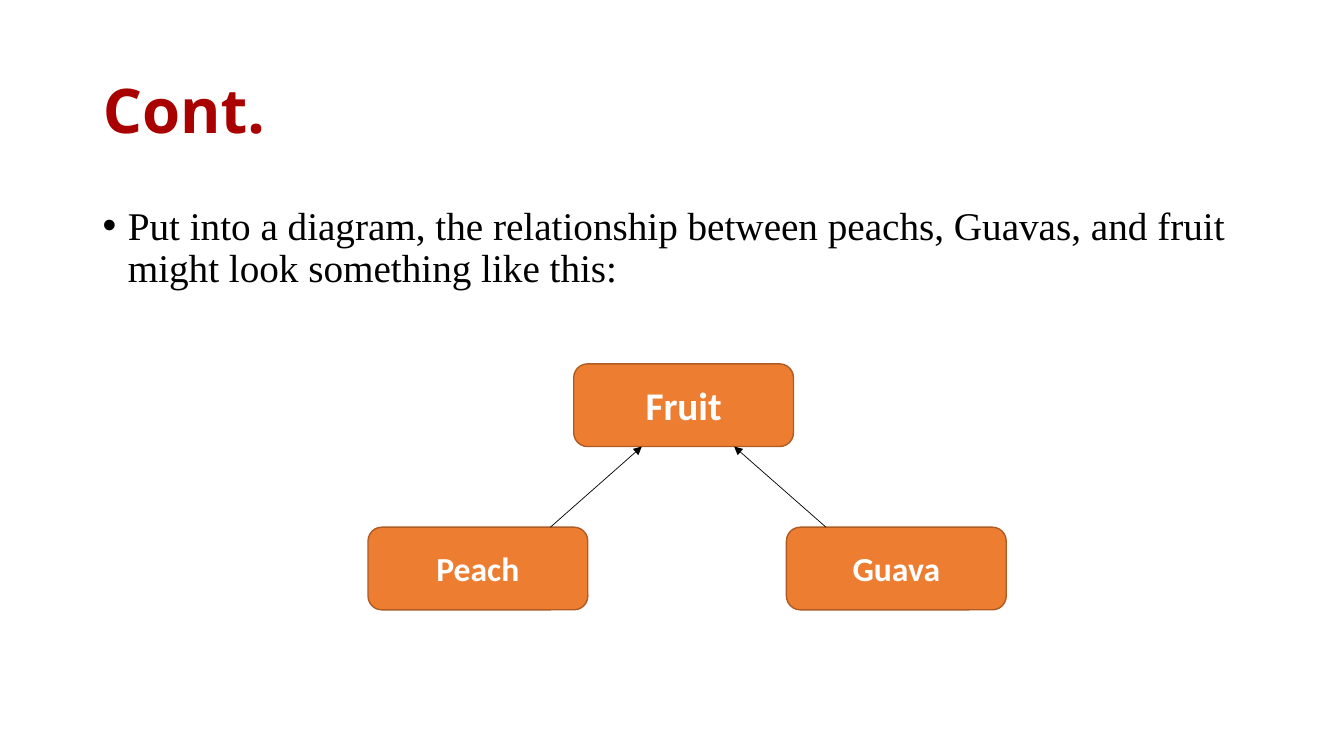
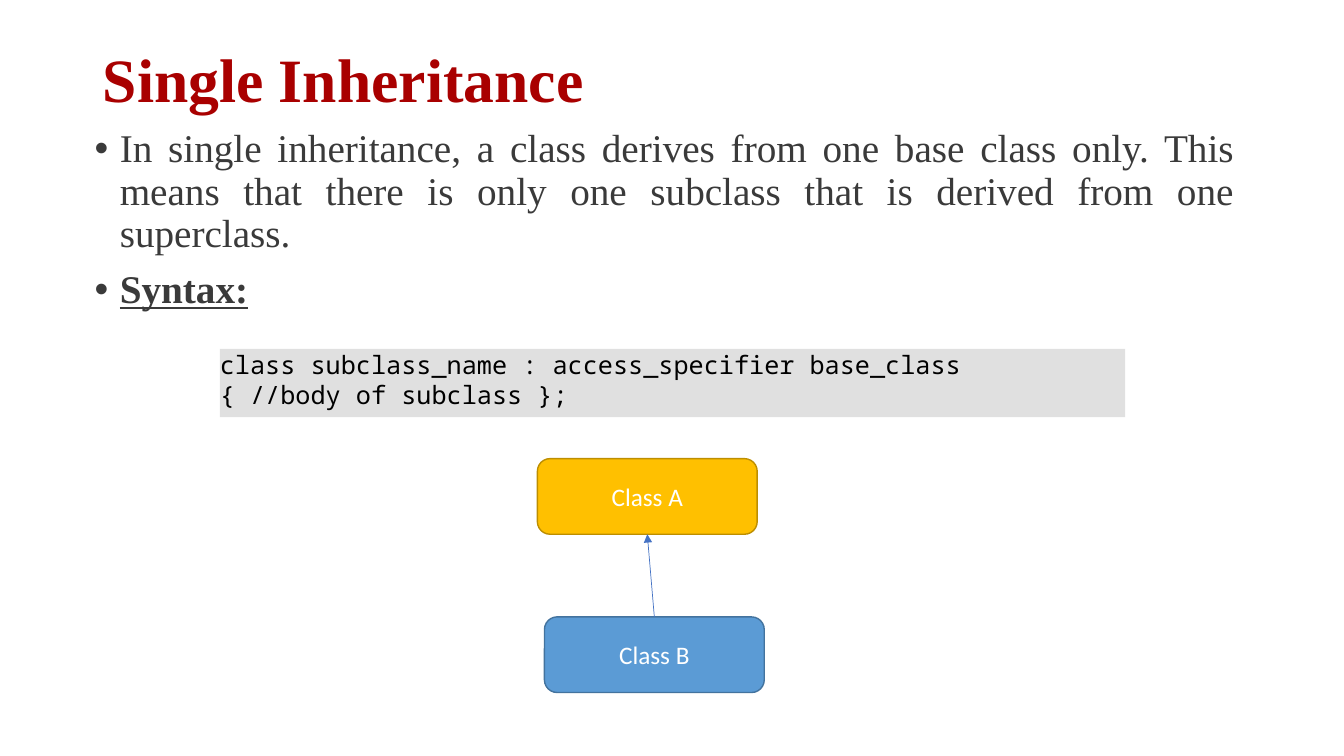
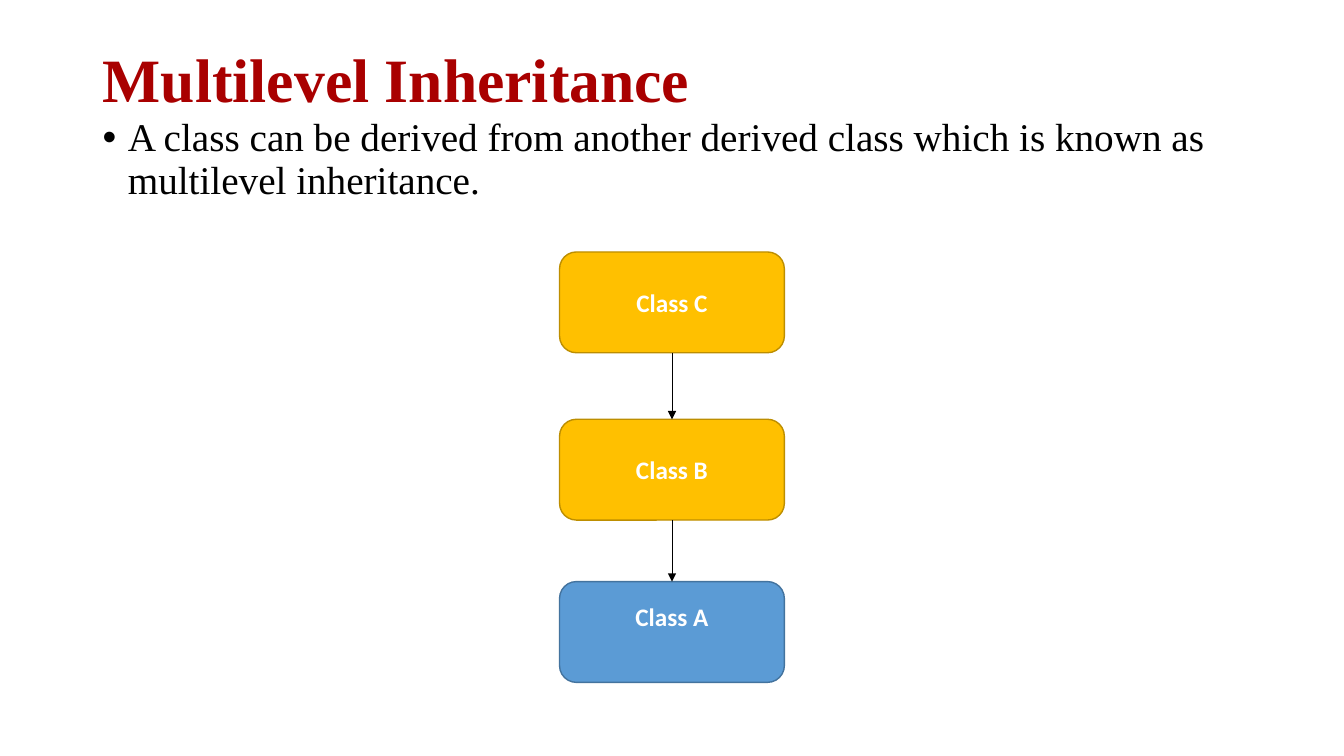
from lxml.etree import SubElement
from pptx import Presentation
from pptx.dml.color import RGBColor
from pptx.enum.shapes import MSO_CONNECTOR, MSO_SHAPE
from pptx.enum.text import MSO_ANCHOR, MSO_AUTO_SIZE, PP_ALIGN
from pptx.oxml.ns import qn
from pptx.util import Inches, Pt

SERIF, SANS, MONO, LABEL = "Times New Roman", "Noto Sans", "Noto Sans Mono", "Calibri"
RED, BLACK, WHITE, DARK, GREY = "A90000", "000000", "FFFFFF", "3A3A3A", "E0E0E0"
LINK_BLUE = "4472C4"
# Fill and outline of the class boxes
ORANGE = ("ED7D31", "AF5C24")
GOLD = ("FFC000", "BD8E00")
BLUE = ("5B9BD5", "43739E")


def rgb(value):
    return RGBColor.from_string(value)


def add_run(p, text, size, font, color, bold=False, underline=False):
    r = p.add_run()
    r.text = text
    r.font.size = Pt(size)
    r.font.name = font
    r.font.color.rgb = rgb(color)
    r.font.bold = bold
    r.font.underline = underline


def add_slide(prs, title, font=SERIF, raised=True):
    """Title slide part; a raised title sits at the top of its box."""
    s = prs.slides.add_slide(prs.slide_layouts[5])
    sp = s.shapes.title
    sp.left, sp.top = Inches(0.92), Inches(0.4)
    sp.width, sp.height = Inches(11.5), Inches(1.45)
    tf = sp.text_frame
    tf.word_wrap = True
    tf.auto_size = MSO_AUTO_SIZE.NONE
    tf.vertical_anchor = MSO_ANCHOR.TOP if raised else MSO_ANCHOR.MIDDLE
    if raised:
        tf.margin_top = Inches(0.09)
    p = tf.paragraphs[0]
    p.alignment = PP_ALIGN.LEFT
    p.line_spacing = 0.9
    add_run(p, title, 44, font, RED, bold=True)
    return s


def add_bullets(s, left, top, items, color=BLACK, align=PP_ALIGN.LEFT):
    """Bulleted body text; each item is (text, is_heading)."""
    sp = s.shapes.add_textbox(Inches(left), Inches(top), Inches(11.5), Inches(4.76))
    tf = sp.text_frame
    tf.word_wrap = True
    for i, (text, heading) in enumerate(items):
        p = tf.add_paragraph() if i else tf.paragraphs[0]
        p.alignment = align
        p.line_spacing = 0.9
        if i:
            p.space_before = Pt(10)
        pPr = p._p.get_or_add_pPr()
        pPr.set("marL", str(Inches(0.25)))
        pPr.set("indent", str(-Inches(0.25)))
        SubElement(pPr, qn("a:buFont")).set("typeface", "Arial")
        SubElement(pPr, qn("a:buChar")).set("char", "•")
        add_run(p, text, 28, SERIF, color, bold=heading, underline=heading)


def add_box(s, text, left, top, width, height, colors, size=18, bold=True):
    fill, line = colors
    sp = s.shapes.add_shape(MSO_SHAPE.ROUNDED_RECTANGLE, Inches(left), Inches(top),
                            Inches(width), Inches(height))
    sp.shadow.inherit = False
    sp.fill.solid()
    sp.fill.fore_color.rgb = rgb(fill)
    sp.line.color.rgb = rgb(line)
    sp.line.width = Pt(1)
    tf = sp.text_frame
    tf.word_wrap = True
    tf.vertical_anchor = MSO_ANCHOR.MIDDLE
    p = tf.paragraphs[0]
    p.alignment = PP_ALIGN.CENTER
    add_run(p, text, size, LABEL, WHITE, bold=bold)
    return sp


def add_arrow(s, start, end, start_at=0.5, end_at=0.5, color=BLACK):
    """Arrow between facing edges; start_at and end_at are fractions of the widths."""
    down = start.top < end.top
    c = s.shapes.add_connector(
        MSO_CONNECTOR.STRAIGHT,
        int(start.left + start.width * start_at),
        start.top + start.height if down else start.top,
        int(end.left + end.width * end_at),
        end.top if down else end.top + end.height)
    c.line.color.rgb = rgb(color)
    c.line.width = Pt(0.5)
    SubElement(c.get_or_add_ln(), qn("a:tailEnd")).set("type", "triangle")
    SubElement(c.element.spPr, qn("a:effectLst"))


def add_code(s, left, top, width, height, lines):
    sp = s.shapes.add_shape(MSO_SHAPE.RECTANGLE, Inches(left), Inches(top),
                            Inches(width), Inches(height))
    sp.shadow.inherit = False
    sp.fill.solid()
    sp.fill.fore_color.rgb = rgb(GREY)
    sp.line.fill.background()
    tf = sp.text_frame
    tf.word_wrap = True
    tf.auto_size = MSO_AUTO_SIZE.SHAPE_TO_FIT_TEXT
    tf.vertical_anchor = MSO_ANCHOR.MIDDLE
    tf.margin_left = tf.margin_top = tf.margin_right = 0
    tf.margin_bottom = Inches(0.07)
    for i, line in enumerate(lines):
        p = tf.add_paragraph() if i else tf.paragraphs[0]
        p.alignment = PP_ALIGN.LEFT
        add_run(p, line, 18, MONO, BLACK)


def add_fruit_tree(s, left, top):
    """One parent box above two child boxes."""
    width, height, child_top = 2.18, 0.82, top + 1.62
    fruit = add_box(s, "Fruit", left + 2.04, top, width, height, ORANGE, size=28)
    peach = add_box(s, "Peach", left, child_top, width, height, ORANGE, size=24)
    guava = add_box(s, "Guava", left + 4.15, child_top, width, height, ORANGE, size=24)
    add_arrow(s, peach, fruit, 0.83, 0.31)
    add_arrow(s, guava, fruit, 0.18, 0.73)


def add_class_pair(s, left, top):
    """Base class with its subclass below."""
    base = add_box(s, "Class A", left, top, 2.18, 0.75, GOLD, bold=False)
    sub = add_box(s, "Class B", left + 0.07, top + 1.57, 2.18, 0.75, BLUE, bold=False)
    add_arrow(s, sub, base, color=LINK_BLUE)


def add_class_chain(s, left, top):
    """Three classes linked downwards."""
    levels = [("Class C", 0, GOLD), ("Class B", 1.66, GOLD), ("Class A", 3.27, BLUE)]
    boxes = [add_box(s, text, left, top + drop, 2.23, 1, colors)
             for text, drop, colors in levels]
    boxes[-1].text_frame.margin_bottom = Inches(0.35)
    for upper, lower in zip(boxes, boxes[1:]):
        add_arrow(s, upper, lower)


def main():
    prs = Presentation()
    prs.slide_width, prs.slide_height = Inches(13.33), Inches(7.5)

    # Fruit diagram
    s = add_slide(prs, "Cont.", font=SANS, raised=False)
    add_bullets(s, 0.92, 2, [
        ("Put into a diagram, the relationship between peachs, Guavas, and fruit "
         "might look something like this:", False)])
    add_fruit_tree(s, 3.65, 3.61)

    # Single inheritance
    s = add_slide(prs, "Single Inheritance")
    add_bullets(s, 0.84, 1.23, [
        ("In single inheritance, a class derives from one base class only. This means "
         "that there is only one subclass that is derived from one superclass.", False),
        ("Syntax:", True)], color=DARK, align=PP_ALIGN.JUSTIFY)
    add_class_pair(s, 5.33, 4.55)
    add_code(s, 2.18, 3.46, 8.98, 0.68, [
        "class subclass_name : access_specifier base_class",
        "{ //body of subclass };"])

    # Multilevel inheritance
    s = add_slide(prs, "Multilevel Inheritance")
    add_bullets(s, 0.92, 1.12, [
        ("A class can be derived from another derived class which is known as "
         "multilevel inheritance.", False)])
    add_class_chain(s, 5.55, 2.5)

    prs.save("out.pptx")


if __name__ == "__main__":
    main()
